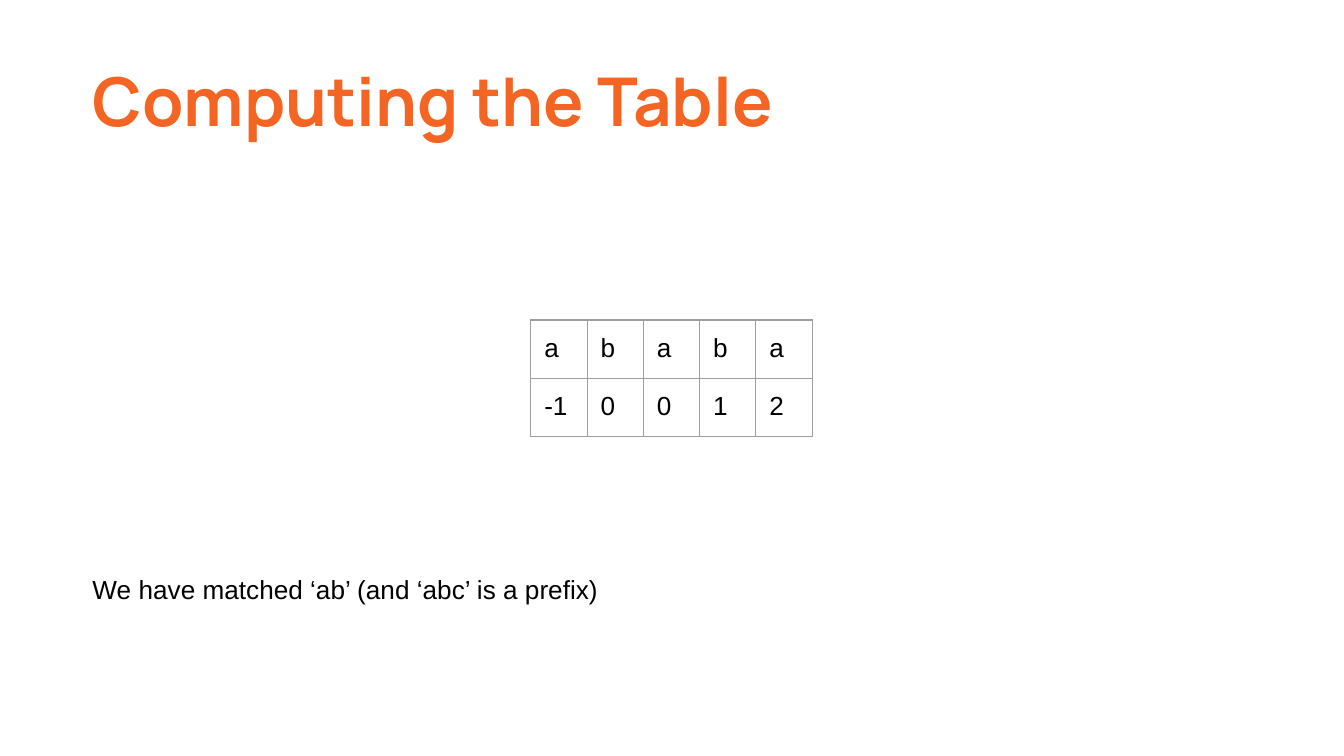
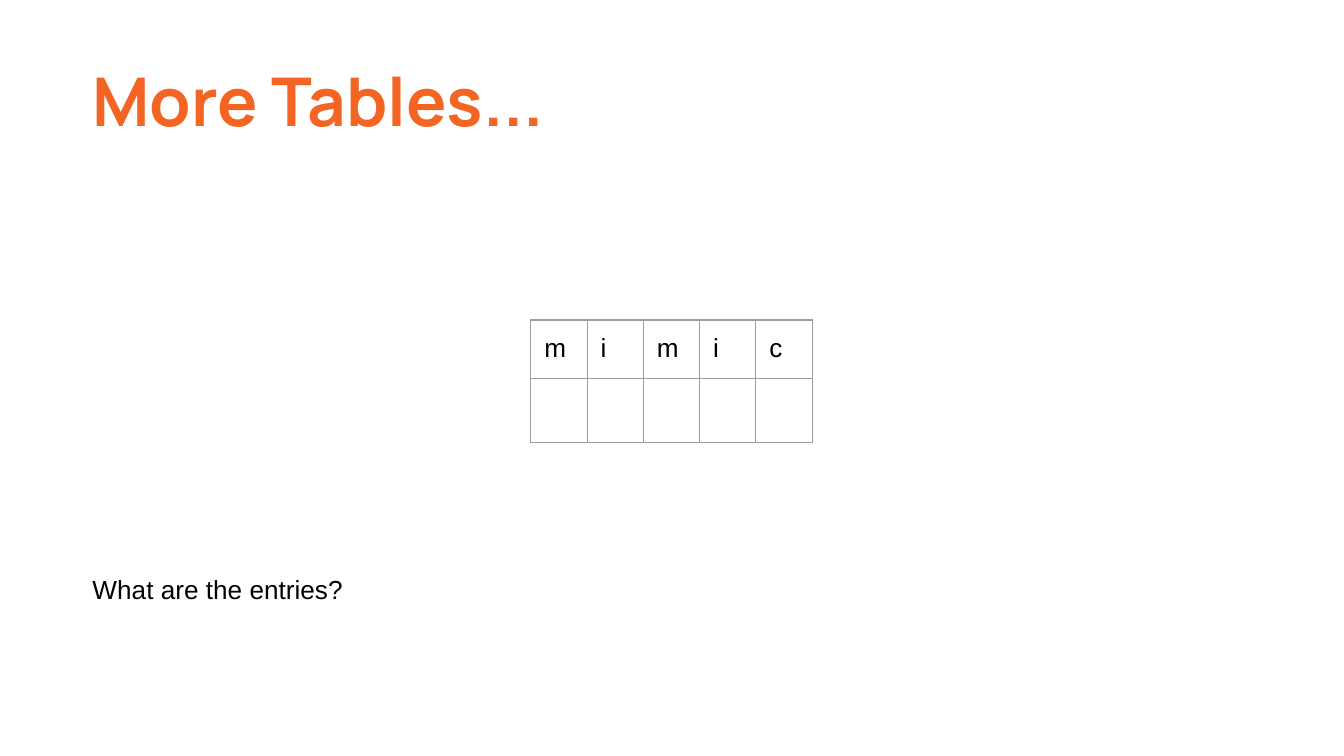
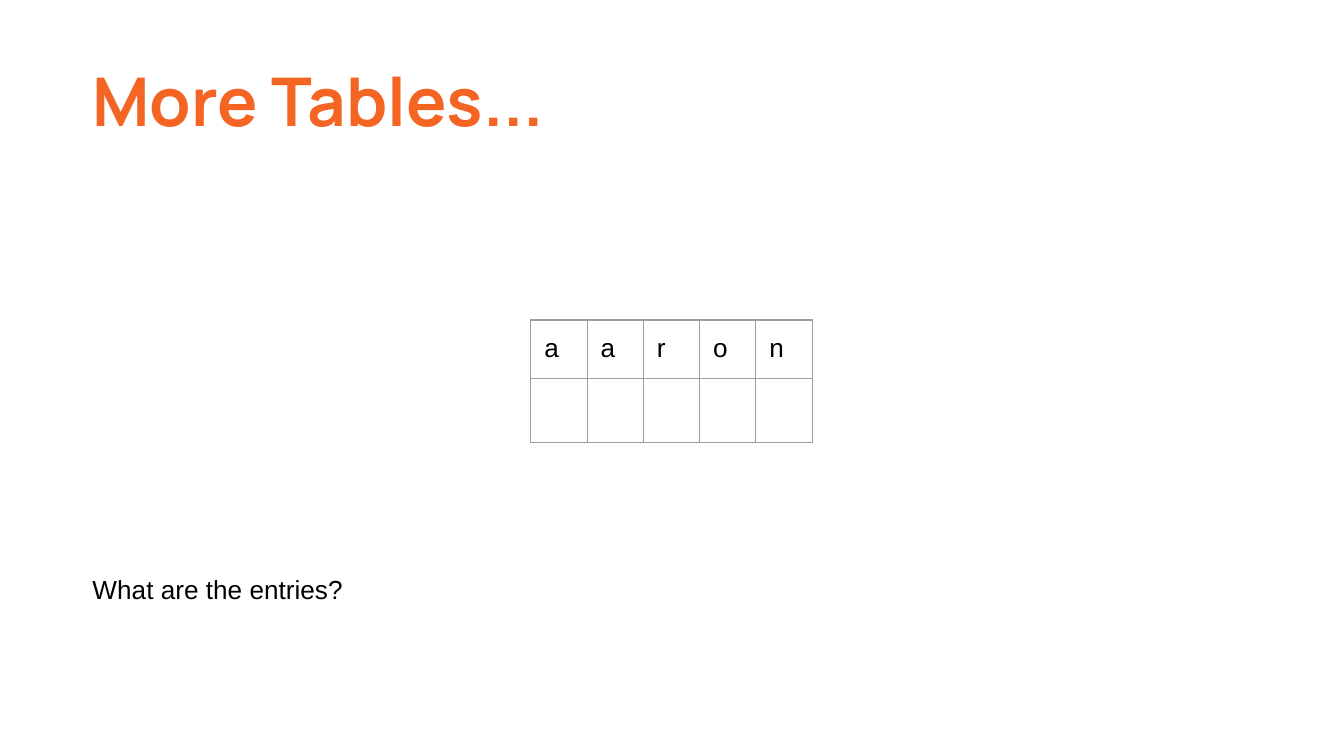
from dataclasses import dataclass

from lxml import etree
from pptx import Presentation
from pptx.dml.color import RGBColor
from pptx.enum import text as tx
from pptx.oxml import ns
from pptx.util import Pt

SLIDES = [
    ("Computing the Table", ["ababa", ["-1", "0", "0", "1", "2"]],
     "We have matched ‘ab’ (and ‘abc’ is a prefix)"),
    ("More Tables...", ["mimic", [""] * 5], "What are the entries?"),
    ("More Tables...", ["aaron", [""] * 5], "What are the entries?"),
]


@dataclass(frozen=True)
class Theme:
    title: str = "F46524"
    ink: str = "000000"
    rule: str = "9E9E9E"
    head: str = "Manrope"
    body: str = "Arial"
    big: int = 36
    small: int = 14
    line: float = 0.75
    inset: float = 7.2


THEME = Theme()
WIDTH, HEIGHT = 720, 405
TITLE = (42.5, 23, 633.6, 60.5)
NOTE = (42.5, 300.2, 633.6, 77)
LEFT, TOP, CELL, EMPTY = 284.4, 171.4, 30.15, 34.3


def write(frame, words, size=THEME.small, font=THEME.body, color=THEME.ink,
          bold=False, after=0):
    para = frame.paragraphs[0]
    para.space_after = Pt(after)
    style = para.font
    if words:
        run = para.add_run()
        run.text = words
        style = run.font
    style.size, style.name, style.bold = Pt(size), font, bold
    style.color.rgb = RGBColor.from_string(color)


def pad(item):
    gap = Pt(THEME.inset)
    item.margin_left = item.margin_right = gap
    item.margin_top = item.margin_bottom = gap


def box(slide, area, words, anchor=tx.MSO_ANCHOR.TOP, **style):
    frame = slide.shapes.add_textbox(*map(Pt, area)).text_frame
    frame.word_wrap = True
    frame.vertical_anchor = anchor
    pad(frame)
    write(frame, words, **style)


def edge(cell):
    props = cell._tc.get_or_add_tcPr()
    for spot, side in enumerate(("lnL", "lnR", "lnT", "lnB")):
        line = etree.Element(ns.qn("a:" + side), w=str(Pt(THEME.line)))
        fill = etree.SubElement(line, ns.qn("a:solidFill"))
        etree.SubElement(fill, ns.qn("a:srgbClr"), val=THEME.rule)
        props.insert(spot, line)


def grid(slide, rows):
    highs = [CELL if any(row) else EMPTY for row in rows]
    count = len(rows[0])
    area = (LEFT, TOP, CELL * count, sum(highs))
    table = slide.shapes.add_table(len(rows), count, *map(Pt, area)).table
    table.first_row = table.horz_banding = False
    for col in table.columns:
        col.width = Pt(CELL)
    for r, row in enumerate(rows):
        table.rows[r].height = Pt(highs[r])
        for c, words in enumerate(row):
            cell = table.cell(r, c)
            pad(cell)
            cell.fill.background()
            edge(cell)
            write(cell.text_frame, words)


def main():
    deck = Presentation()
    deck.slide_width, deck.slide_height = Pt(WIDTH), Pt(HEIGHT)
    for title, rows, note in SLIDES:
        slide = deck.slides.add_slide(deck.slide_layouts[6])
        box(slide, TITLE, title, anchor=tx.MSO_ANCHOR.MIDDLE, size=THEME.big,
            font=THEME.head, color=THEME.title, bold=True, after=16)
        grid(slide, rows)
        box(slide, NOTE, note)
    deck.save("out.pptx")


if __name__ == "__main__":
    main()
